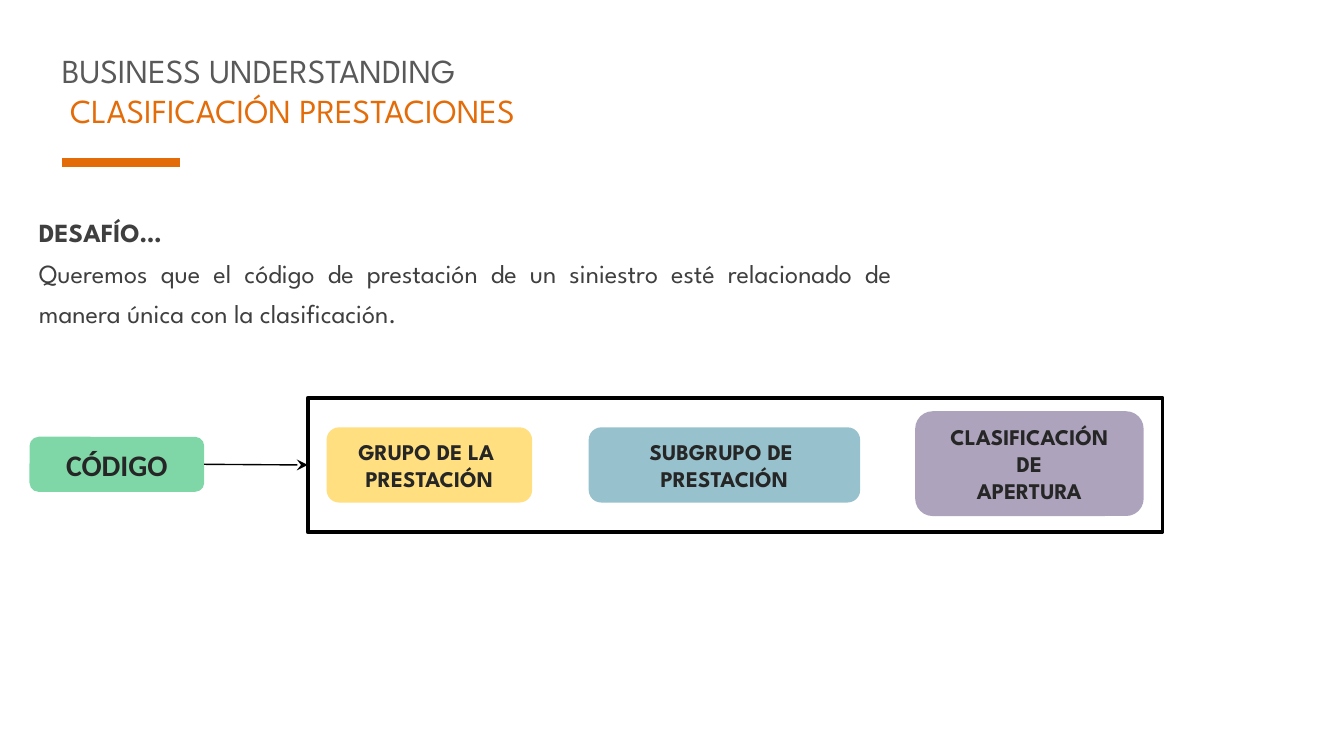
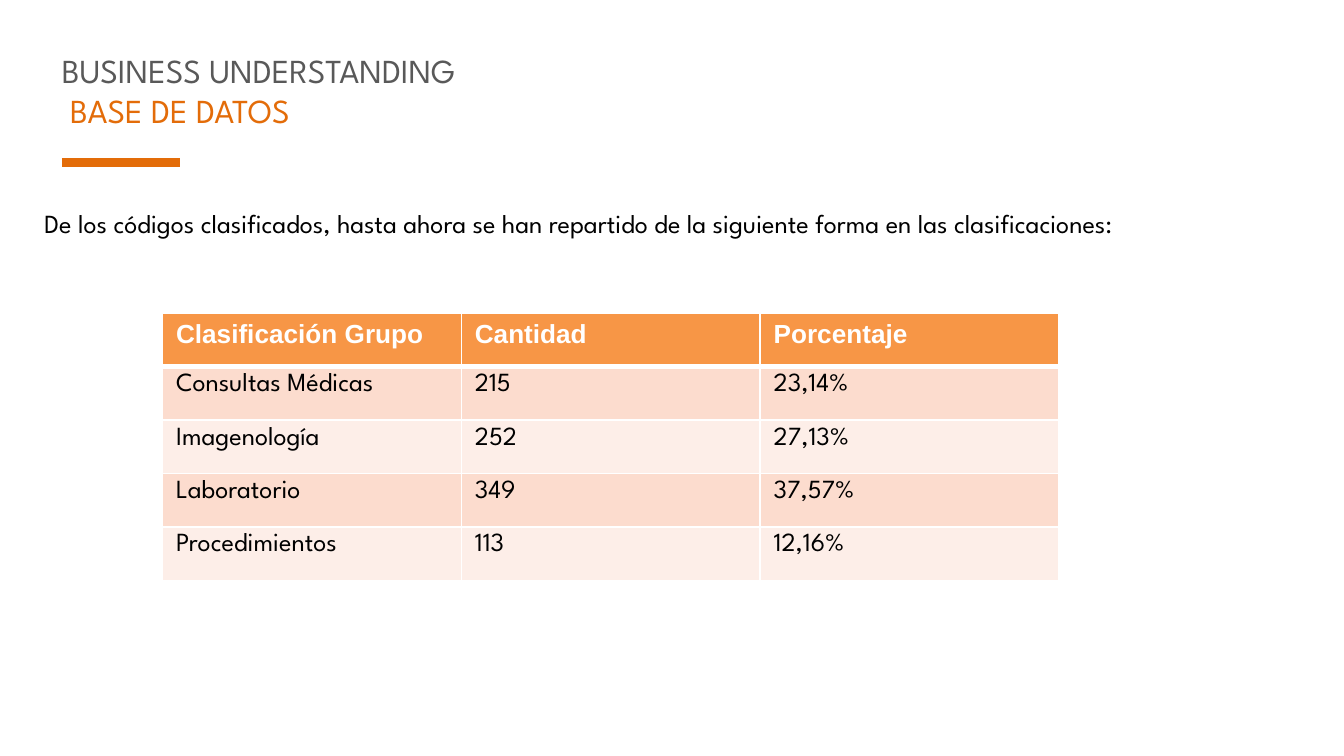
from lxml.etree import SubElement
from pptx import Presentation
from pptx.dml.color import RGBColor
from pptx.enum.shapes import MSO_CONNECTOR as CONN, MSO_SHAPE as SHAPE
from pptx.enum.text import MSO_ANCHOR as ANCHOR, MSO_AUTO_SIZE as FIT, PP_ALIGN as ALIGN
from pptx.oxml.ns import qn
from pptx.util import Inches, Pt

COLORS = {
    "orange": "E36C09", "title": "595959", "body": "3F3F3F", "label": "262626",
    "black": "000000", "white": "FFFFFF", "green": "00B050", "yellow": "FFC000",
    "teal": "31859B", "purple": "5F497A", "header": "F79646",
    "band_dark": "FCDCCE", "band_light": "FDEEE8",
}
FONT = "League Spartan"


def style(p, size, color, bold=False, font=FONT, align=ALIGN.LEFT):
    p.alignment = align
    for r in p.runs:
        r.font.size = Pt(size)
        r.font.name = font
        r.font.bold = bold
        r.font.color.rgb = RGBColor.from_string(COLORS[color])


def add_line(s, x1, x2, y, color, width):
    line = s.shapes.add_connector(CONN.STRAIGHT, Inches(x1), Inches(y), Inches(x2), Inches(y))
    line.line.color.rgb = RGBColor.from_string(COLORS[color])
    line.line.width = Pt(width)
    SubElement(line._element.spPr, qn("a:effectLst"))
    return line


prs = Presentation()
prs.slide_width = Inches(10)
prs.slide_height = Inches(10 * 9 / 16)

pages = [
    ("CLASIFICACIÓN PRESTACIONES", 4.14, (0.19, 1.49, 6.55, 1.02), "body", ALIGN.JUSTIFY, 1.3,
     ["DESAFÍO…",
      "Queremos que el código de prestación de un siniestro esté relacionado "
      "de manera única con la clasificación."]),
    ("BASE DE DATOS", 3.43, (0.23, 1.49, 8.31, 0.81), "black", ALIGN.LEFT, 1.0,
     ["De los códigos clasificados, hasta ahora se han repartido "
      "de la siguiente forma en las clasificaciones:"]),
]
slides = []
for subtitle, title_width, body_box, body_color, align, spacing, lines in pages:
    s = prs.slides.add_slide(prs.slide_layouts[1])
    slides.append(s)
    add_line(s, 0.46, 1.34, 1.21, "orange", 4.5)

    title, body = s.shapes.title, s.placeholders[1]
    boxes = [(title, (0.36, 0.32, title_width, 0.71)), (body, body_box)]
    for sp, box in boxes:
        sp.left, sp.top, sp.width, sp.height = [Inches(v) for v in box]
        tf = sp.text_frame
        tf.word_wrap = True
        tf.auto_size = FIT.NONE
        tf.vertical_anchor = ANCHOR.TOP

    title.text_frame.text = "BUSINESS UNDERSTANDING\n " + subtitle
    for p, color in zip(title.text_frame.paragraphs, ["title", "orange"]):
        style(p, 18, color)

    body.text_frame.text = "\n".join(lines)
    for p in body.text_frame.paragraphs:
        style(p, 14, body_color, p.text == "DESAFÍO…", align=align)
        p.line_spacing = spacing
        p.space_before = Pt(0)
        pPr = p._p.get_or_add_pPr()
        pPr.set("marL", "0")
        pPr.set("indent", "0")
        SubElement(pPr, qn("a:buNone"))

s = slides[0]
labels = [
    ("GRUPO DE LA \nPRESTACIÓN", (2.43, 3.18, 1.53, 0.56), "yellow", 12, FONT),
    ("SUBGRUPO DE \nPRESTACIÓN", (4.38, 3.18, 2.02, 0.56), "teal", 12, FONT),
    ("CLASIFICACIÓN\nDE\nAPERTURA", (6.81, 3.06, 1.7, 0.78), "purple", 12, FONT),
    ("CÓDIGO", (0.22, 3.25, 1.3, 0.41), "green", 16, "Calibri"),
]
for text, box, color, size, font in labels:
    code = s.shapes.add_shape(SHAPE.ROUNDED_RECTANGLE, *[Inches(v) for v in box])
    code.shadow.inherit = False
    code.fill.solid()
    code.fill.fore_color.rgb = RGBColor.from_string(COLORS[color])
    fill = code._element.spPr.find(qn("a:solidFill"))
    SubElement(fill[0], qn("a:alpha"), val="50000")
    code.line.fill.background()
    p = code.text_frame.paragraphs[0]
    p.text = text
    style(p, size, "label", True, font, ALIGN.CENTER)

frame = s.shapes.add_shape(SHAPE.RECTANGLE, Inches(2.29), Inches(2.96), Inches(6.36), Inches(1))
frame.shadow.inherit = False
frame.fill.background()
frame.line.color.rgb = RGBColor.from_string(COLORS["black"])
frame.line.width = Pt(2)

arrow = add_line(s, 1.52, 2.29, 3.46, "black", 0.75)
arrow.begin_connect(code, 3)
arrow.end_connect(frame, 1)
SubElement(arrow.line._get_or_add_ln(), qn("a:tailEnd"), type="stealth")

s = slides[1]
rows = [
    ("Clasificación Grupo", "Cantidad", "Porcentaje"),
    ("Consultas Médicas", "215", "23,14%"),
    ("Imagenología", "252", "27,13%"),
    ("Laboratorio", "349", "37,57%"),
    ("Procedimientos", "113", "12,16%"),
]
table = s.shapes.add_table(len(rows), 3, Inches(1.21), Inches(2.33),
                           Inches(6.67), Inches(1.99)).table
for i, row in enumerate(rows):
    fill = "header" if i == 0 else ("band_light", "band_dark")[i % 2]
    for j, text in enumerate(row):
        cell = table.cell(i, j)
        tcPr = cell._tc.get_or_add_tcPr()
        for side in ("L", "R", "T", "B"):
            thick = (i, side) in [(0, "B"), (1, "T")]
            ln = SubElement(tcPr, qn("a:ln" + side), w=str(Pt(3 if thick else 1)))
            SubElement(SubElement(ln, qn("a:solidFill")), qn("a:srgbClr"), val=COLORS["white"])
        cell.fill.solid()
        cell.fill.fore_color.rgb = RGBColor.from_string(COLORS[fill])
        cell.text_frame.text = text
        p = cell.text_frame.paragraphs[0]
        if i == 0:
            style(p, 14, "white", True, "Arial")
        else:
            style(p, 14, "black")

prs.save("out.pptx")
